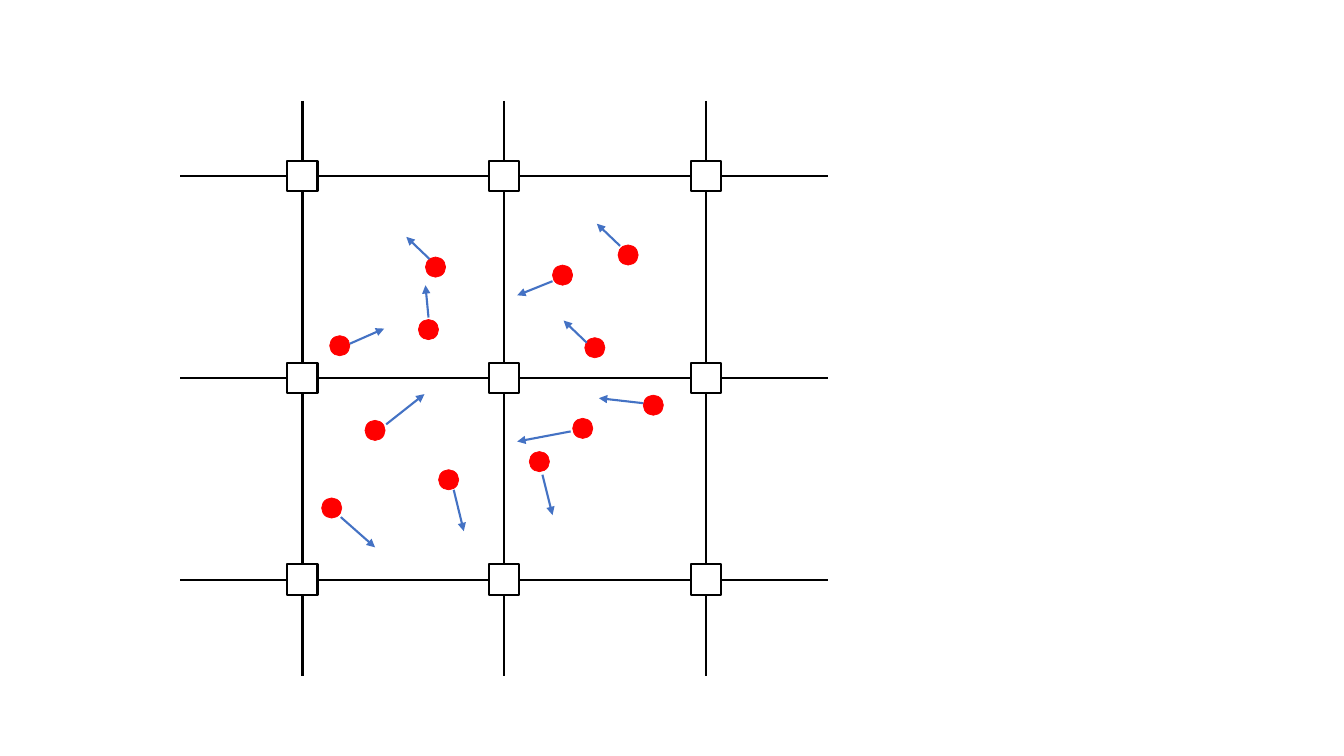
import lxml.etree
import pptx
import pptx.util
import pptx.dml.color
import pptx.enum.shapes
import pptx.oxml.ns
from pptx.util import Inches

COLUMNS = [3, 5, 7]
ROWS = [1.75, 3.75, 5.75]
GRID_LEFT, GRID_RIGHT = 1.79, 8.21
GRID_TOP, GRID_BOTTOM = 1, 6.71
NODE_SIZE = 0.3
PARTICLE_SIZE = 0.2
BLACK, WHITE, RED, BLUE = "000000", "FFFFFF", "FF0000", "4472C4"

PARTICLES = [
    {"centre": (4.25, 3.27), "start": (4.25, 3.15), "end": (4.22, 2.83)},
    {"centre": (3.37, 3.43), "start": (3.47, 3.41), "end": (3.81, 3.26)},
    {"centre": (4.32, 2.65), "start": (4.26, 2.57), "end": (4.03, 2.35)},
    {"centre": (5.58, 2.73), "start": (5.48, 2.79), "end": (5.13, 2.93)},
    {"centre": (5.9, 3.45), "start": (5.82, 3.4), "end": (5.59, 3.18)},
    {"centre": (5.78, 4.25), "start": (5.66, 4.28), "end": (5.13, 4.38)},
    {"centre": (5.35, 4.58), "start": (5.38, 4.71), "end": (5.48, 5.11)},
    {"centre": (4.45, 4.76), "start": (4.5, 4.86), "end": (4.6, 5.27)},
    {"centre": (3.72, 4.27), "start": (3.83, 4.21), "end": (4.21, 3.91)},
    {"centre": (3.29, 5.04), "start": (3.38, 5.13), "end": (3.72, 5.43)},
    {"centre": (6.48, 4.02), "start": (6.38, 4), "end": (5.94, 3.95)},
    {"centre": (6.23, 2.53), "start": (6.15, 2.44), "end": (5.92, 2.22)},
]


def color(hex_code):
    return pptx.dml.color.RGBColor.from_string(hex_code)


def add_line(shapes, start, end, line_color, arrow=False):
    connector = shapes.add_connector(
        pptx.enum.shapes.MSO_CONNECTOR.STRAIGHT,
        *(Inches(value) for value in (*start, *end)))
    connector.line.color.rgb = color(line_color)
    connector.line.width = pptx.util.Pt(1.5)
    qn = pptx.oxml.ns.qn
    properties = connector._element.spPr
    if arrow:
        outline = properties.find(qn("a:ln"))
        lxml.etree.SubElement(outline, qn("a:tailEnd"), type="triangle")
    lxml.etree.SubElement(properties, qn("a:effectLst"))


def add_centred(shapes, kind, centre, size, fill_color, line_color, line_width):
    x, y = centre
    shape = shapes.add_shape(kind, Inches(x - size / 2), Inches(y - size / 2),
                             Inches(size), Inches(size))
    shape.shadow.inherit = False
    shape.fill.solid()
    shape.fill.fore_color.rgb = color(fill_color)
    shape.line.color.rgb = color(line_color)
    shape.line.width = pptx.util.Pt(line_width)


def main():
    presentation = pptx.Presentation()
    presentation.slide_width = Inches(13.33)
    presentation.slide_height = Inches(7.5)
    slide = presentation.slides.add_slide(presentation.slide_layouts[6])
    shapes = slide.shapes.add_group_shape().shapes
    preset = pptx.enum.shapes.MSO_SHAPE

    for x in COLUMNS:
        add_line(shapes, (x, GRID_TOP), (x, GRID_BOTTOM), BLACK)
    for y in ROWS:
        add_line(shapes, (GRID_LEFT, y), (GRID_RIGHT, y), BLACK)
    for y in ROWS:
        for x in COLUMNS:
            add_centred(shapes, preset.RECTANGLE, (x, y), NODE_SIZE, WHITE, BLACK, 1.5)
    for particle in PARTICLES:
        add_centred(shapes, preset.OVAL, particle["centre"], PARTICLE_SIZE, RED, RED, 0.5)
    for particle in PARTICLES:
        add_line(shapes, particle["start"], particle["end"], BLUE, arrow=True)

    presentation.save("out.pptx")


if __name__ == "__main__":
    main()
